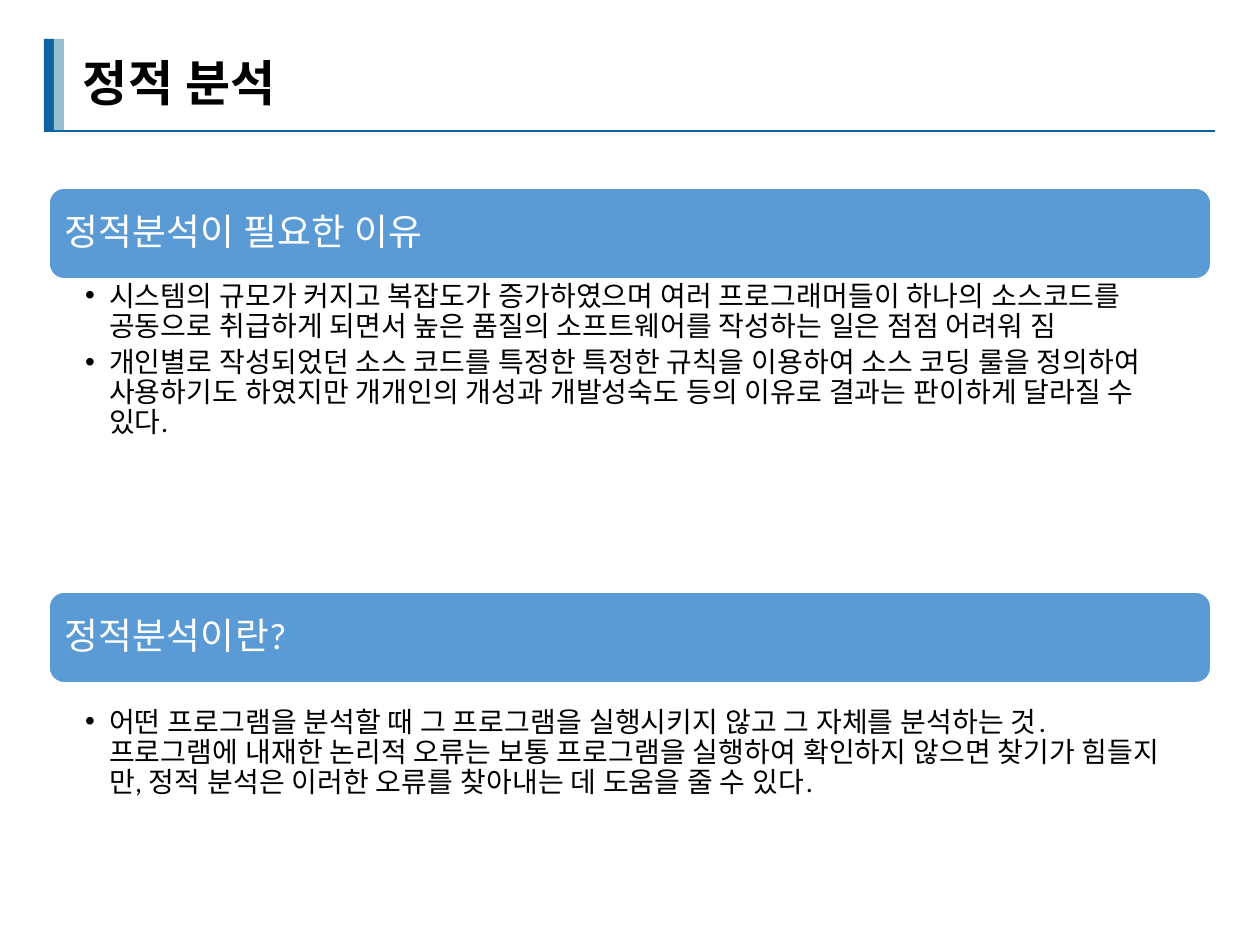
"""Build the slide on static analysis: a ruled title and two headed lists."""
import copy
import pptx
import pptx.dml.color
import pptx.enum.shapes
import pptx.enum.text
import pptx.oxml.ns
import pptx.util
from lxml import etree

THEME = {
    "font": "Calibri",
    "navy": "0F619F", "pale": "96BFD1", "banner": "5B9BD5",
    "ink": "000000", "paper": "FFFFFF",
    "title_size": 28, "heading_size": 21, "list_size": 16,
}
SCALE = 914400 / 126
SHAPES = pptx.enum.shapes.MSO_SHAPE
ANCHOR = pptx.enum.text.MSO_ANCHOR


def px(*lengths):
    return [pptx.util.Emu(round(length * SCALE)) for length in lengths]


def write(holder, paragraphs, size, color, bold=False, anchor=ANCHOR.MIDDLE,
          insets=(11, 11, 11, 11), after=0, bullet=None):
    frame = holder.text_frame
    frame.word_wrap = True
    frame.auto_size = pptx.enum.text.MSO_AUTO_SIZE.NONE
    frame.vertical_anchor = anchor
    (frame.margin_left, frame.margin_top,
     frame.margin_right, frame.margin_bottom) = px(*insets)
    frame.text = "\n".join(paragraphs)
    for paragraph in frame.paragraphs:
        paragraph.alignment = pptx.enum.text.PP_ALIGN.LEFT
        paragraph.line_spacing = 0.9
        paragraph.space_before = pptx.util.Pt(0)
        paragraph.space_after = pptx.util.Pt(after)
        for run in paragraph.runs:
            run.font.name = THEME["font"]
            run.font.size = pptx.util.Pt(size)
            run.font.bold = bold
            run.font.color.rgb = pptx.dml.color.RGBColor.from_string(color)
            run._r.get_or_add_rPr().set("spc", str(size))
        for line_break in paragraph._p.findall(pptx.oxml.ns.qn("a:br")):
            line_break.append(copy.deepcopy(paragraph.runs[0]._r.rPr))
        if bullet:
            paragraph.level = 1
            properties = paragraph._p.get_or_add_pPr()
            indent = px(24)[0]
            properties.set("marL", str(indent))
            properties.set("indent", str(-indent))
            for tag, key, value in (("a:buFont", "typeface", "Arial"),
                                    ("a:buChar", "char", bullet)):
                mark = etree.SubElement(properties, pptx.oxml.ns.qn(tag))
                mark.set(key, value)


deck = pptx.Presentation()
deck.slide_width, deck.slide_height = px(1260, 945)
slide = deck.slides.add_slide(deck.slide_layouts[3])
title, *lists = slide.placeholders

for left, color in ((44, "navy"), (54, "pale")):
    stripe = slide.shapes.add_shape(SHAPES.RECTANGLE, *px(left, 39, 10, 92))
    stripe.shadow.inherit = False
    stripe.fill.solid()
    stripe.fill.fore_color.rgb = pptx.dml.color.RGBColor.from_string(THEME[color])
    stripe.line.fill.background()

rule = slide.shapes.add_connector(
    pptx.enum.shapes.MSO_CONNECTOR.STRAIGHT, *px(44, 131, 1215, 131))
rule.line.color.rgb = pptx.dml.color.RGBColor.from_string(THEME["navy"])
rule.line.width = pptx.util.Pt(1.25)
etree.SubElement(rule._element.spPr, pptx.oxml.ns.qn("a:effectLst"))

title.left, title.top, title.width, title.height = px(70, 42, 1145, 87)
write(title, ["정적 분석"], THEME["title_size"], THEME["ink"], bold=True,
      insets=(13, 6, 13, 6))

sections = (
    ("정적분석이 필요한 이유", 188, 278, 335, (
        "시스템의 규모가 커지고 복잡도가 증가하였으며 여러 프로그래머들이 하나의 소스코드를 "
        "공동으로 취급하게 되면서 높은 품질의 소프트웨어를 작성하는 일은 점점 어려워 짐",
        "개인별로 작성되었던 소스 코드를 특정한 특정한 규칙을 이용하여 소스 코딩 룰을 정의하여 "
        "사용하기도 하였지만 개개인의 개성과 개발성숙도 등의 이유로 결과는 판이하게 달라질 수 있다.",
    )),
    ("정적분석이란?", 592, 704, 141, (
        "어떤 프로그램을 분석할 때 그 프로그램을 실행시키지 않고 그 자체를 분석하는 것. "
        "프로그램에 내재한 논리적 오류는 보통 프로그램을 실행하여 확인하지 않으면 찾기가 힘들지\v만, "
        "정적 분석은 이러한 오류를 찾아내는 데 도움을 줄 수 있다.",
    )),
)
for points, (heading, banner_top, list_top, list_height, items) in zip(lists, sections):
    banner = slide.shapes.add_shape(
        SHAPES.ROUNDED_RECTANGLE, *px(49, banner_top, 1162, 91))
    banner.shadow.inherit = False
    banner.fill.solid()
    banner.fill.fore_color.rgb = pptx.dml.color.RGBColor.from_string(THEME["banner"])
    banner.line.color.rgb = pptx.dml.color.RGBColor.from_string(THEME["paper"])
    banner.line.width = pptx.util.Pt(1)
    write(banner, [heading], THEME["heading_size"], THEME["paper"],
          insets=(11, 15, 15, 15))

    points.left, points.top, points.width, points.height = px(
        49, list_top, 1162, list_height)
    write(points, items, THEME["list_size"], THEME["ink"], anchor=ANCHOR.TOP,
          insets=(36, 4, 30, 4), after=3.2, bullet="•")

deck.save("out.pptx")
